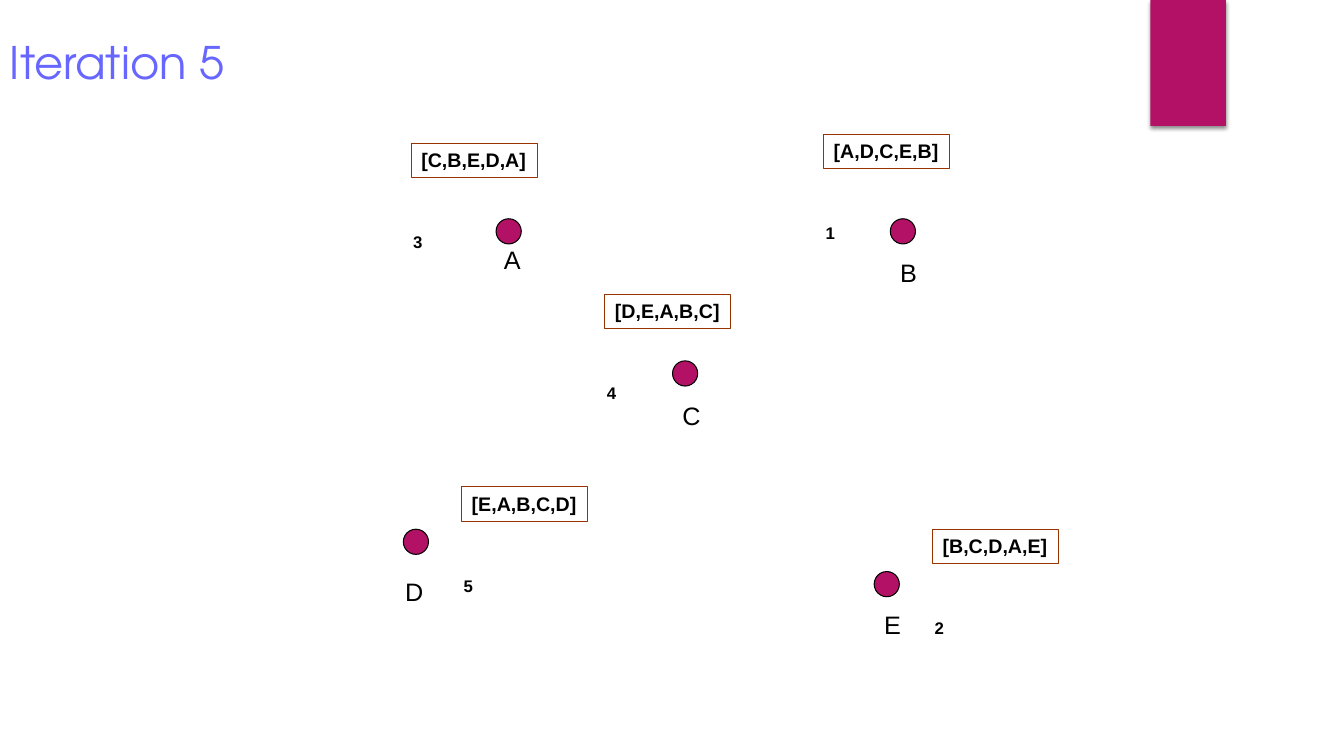
from lxml import etree
from pptx import Presentation
from pptx.dml.color import RGBColor
from pptx.enum import shapes as sh, text as tx
from pptx.oxml.ns import qn
from pptx.util import Inches, Pt

TITLE = "Iteration 5"
# name: (dot, name label, list box, list, number)
NODES = {
    "A": ((4.92, 2.17), (4.9, 2.37), (4.08, 1.42), "[C,B,E,D,A]", "3"),
    "B": ((8.83, 2.17), (8.83, 2.5), (8.17, 1.33), "[A,D,C,E,B]", "1"),
    "C": ((6.67, 3.58), (6.67, 3.92), (6, 2.92), "[D,E,A,B,C]", "4"),
    "D": ((4, 5.25), (3.92, 5.67), (4.58, 4.83), "[E,A,B,C,D]", "5"),
    "E": ((8.67, 5.67), (8.67, 6), (9.25, 5.25), "[B,C,D,A,E]", "2"),
}
COLORS = {"accent": "B31166", "title": "6767FF", "ink": "000000", "frame": "993300"}
FONTS = {
    "title": {"name": "TeX Gyre Adventor", "size": Pt(32), "bold": False},
    "name": {"name": "Arial", "size": Pt(18), "bold": False},
    "list": {"name": "Arial", "size": Pt(14), "bold": True},
    "number": {"name": "Arial", "size": Pt(12), "bold": True},
}
DOT = (0.25, 0.25)
NAME = (0.38, 0.4)
LIST = (1.25, 0.34)
NUMBER = (0.29, 0.3)
DROP = (-0.08, 0.83)  # from list box to number


def color(key):
    return RGBColor.from_string(COLORS[key])


def add_shape(parent, kind, at, size, fill=None, line=None):
    shape = parent.add_shape(kind, *map(Inches, at + size))
    shape.shadow.inherit = False
    if fill:
        shape.fill.solid()
        shape.fill.fore_color.rgb = color(fill)
    else:
        shape.fill.background()
    if line:
        shape.line.color.rgb = color(line)
        shape.line.width = Pt(0.75)
    else:
        shape.line.fill.background()
    return shape


def add_shadow(shape):
    effects = shape._element.spPr.find(qn("a:effectLst"))
    outer = etree.SubElement(effects, qn("a:outerShdw"), blurRad=str(Pt(3)),
                             dist=str(Pt(2)), dir="5400000", rotWithShape="0")
    black = etree.SubElement(outer, qn("a:srgbClr"), val=COLORS["ink"])
    etree.SubElement(black, qn("a:alpha"), val="45000")


def write(shape, words, style, ink="ink"):
    frame = shape.text_frame
    frame.word_wrap = False
    frame.auto_size = tx.MSO_AUTO_SIZE.SHAPE_TO_FIT_TEXT
    frame.vertical_anchor = tx.MSO_ANCHOR.TOP
    para = frame.paragraphs[0]
    para.alignment = tx.PP_ALIGN.LEFT
    run = para.add_run()
    run.text = words
    for key, value in FONTS[style].items():
        setattr(run.font, key, value)
    run.font.color.rgb = color(ink)


def add_label(parent, at, size, words, style):
    box = parent.add_textbox(*map(Inches, at + size))
    write(box, words, style)


def add_title(parent):
    box = parent.add_textbox(*map(Inches, (0, 0.3, 9, 0.62)))
    write(box, TITLE, "title", "title")
    frame = box.text_frame
    frame.word_wrap = True
    frame.auto_size = tx.MSO_AUTO_SIZE.NONE
    frame.vertical_anchor = tx.MSO_ANCHOR.MIDDLE


def add_node(parent, name, dot, label, corner, order, number):
    add_shape(parent, sh.MSO_SHAPE.OVAL, dot, DOT, "accent", "ink")
    add_label(parent, label, NAME, name, "name")
    group = parent.add_group_shape().shapes
    spot = tuple(a + b for a, b in zip(corner, DROP))
    add_label(group, spot, NUMBER, number, "number")
    box = add_shape(group, sh.MSO_SHAPE.RECTANGLE, corner, LIST, line="frame")
    write(box, order, "list")


def main():
    deck = Presentation()
    deck.slide_width, deck.slide_height = Inches(13.33), Inches(7.5)
    parts = deck.slides.add_slide(deck.slide_layouts[6]).shapes
    ribbon = add_shape(parts, sh.MSO_SHAPE.RECTANGLE, (11.41, 0), (0.75, 1.25), "accent")
    add_shadow(ribbon)
    add_title(parts)
    for name, node in NODES.items():
        add_node(parts, name, *node)
    deck.save("out.pptx")


if __name__ == "__main__":
    main()
